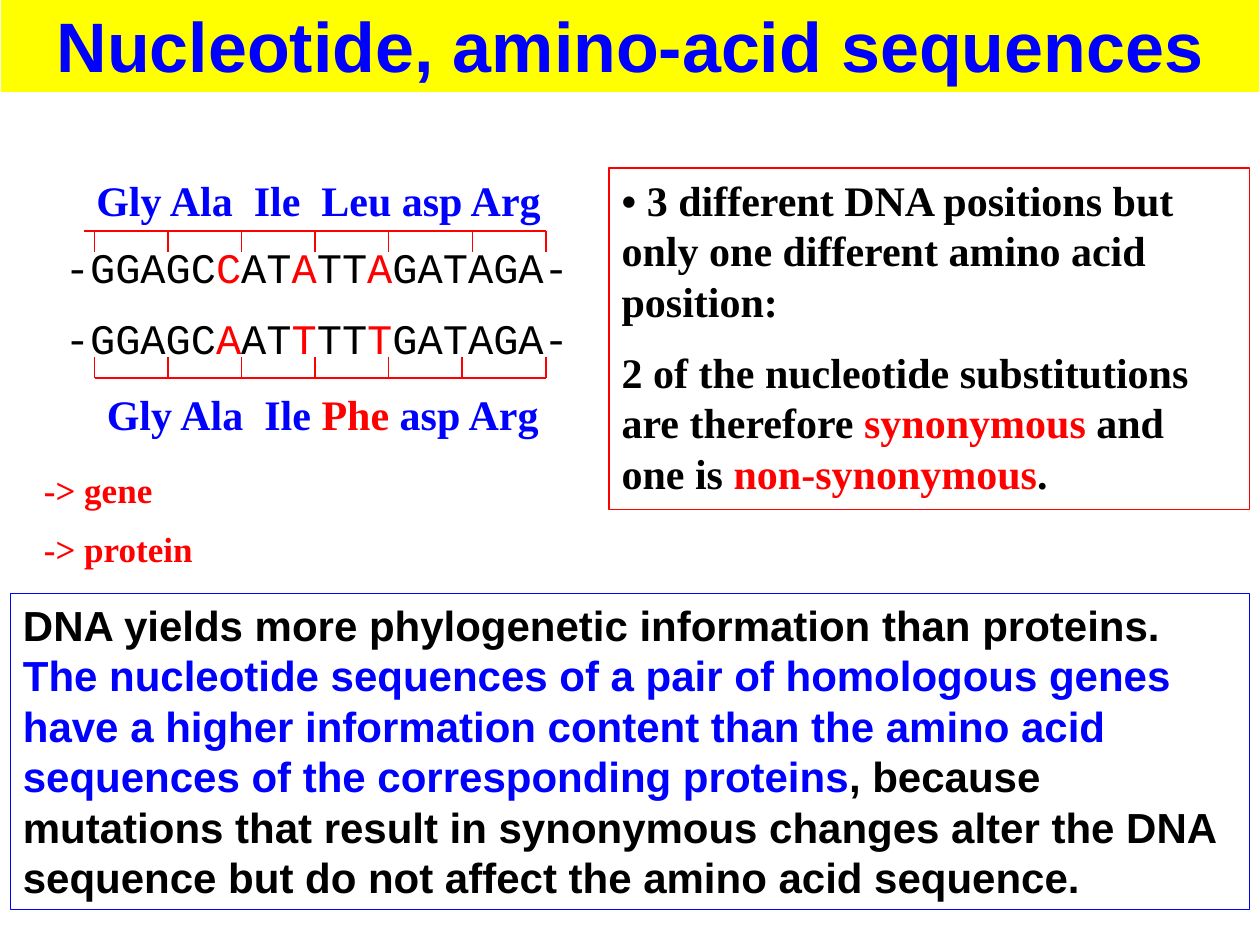
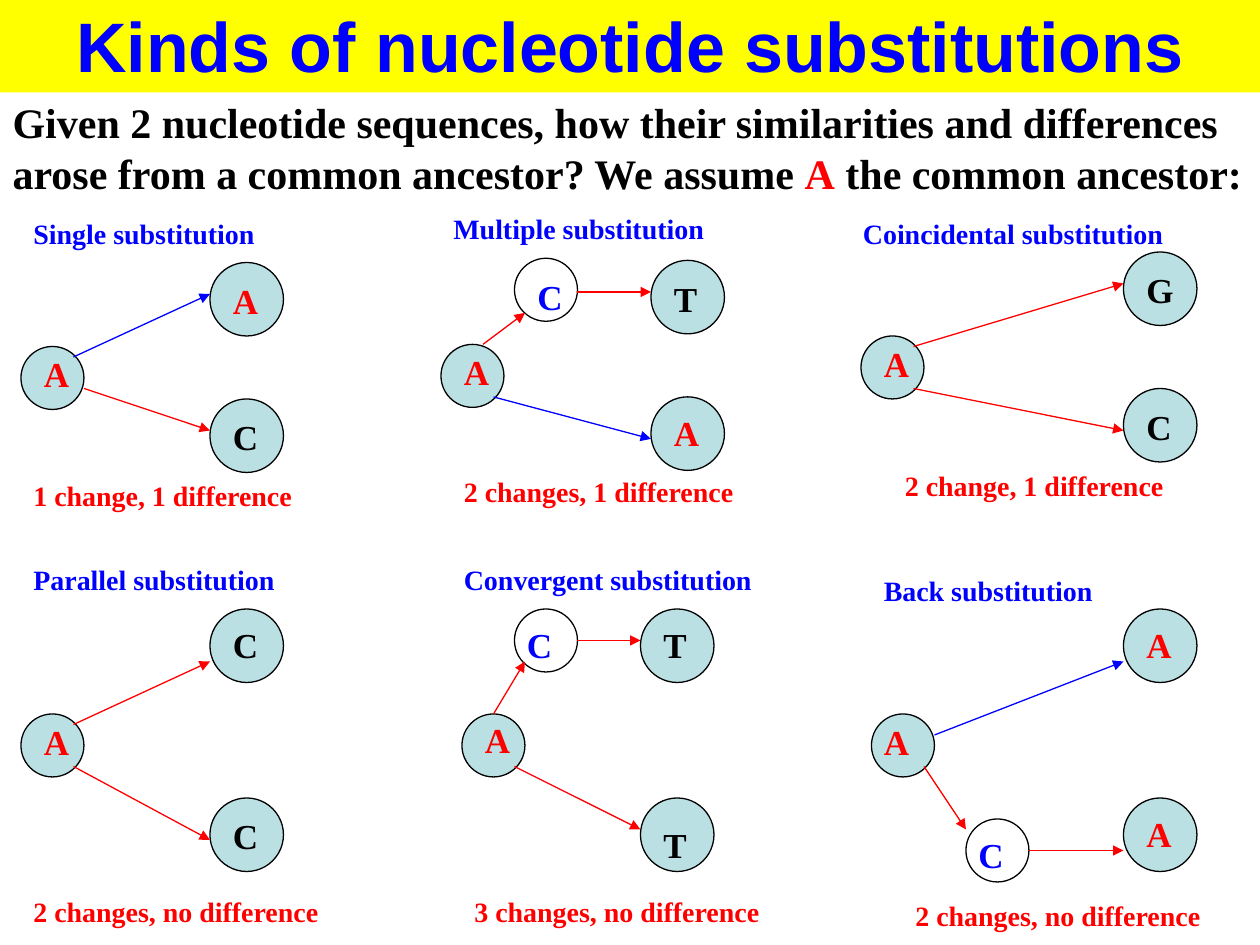
"""Build two slides on nucleotide sequences and kinds of substitutions."""
from dataclasses import dataclass

from lxml.etree import SubElement
from pptx import Presentation
from pptx.dml.color import RGBColor
from pptx.enum.shapes import MSO_CONNECTOR, MSO_SHAPE
from pptx.enum.text import MSO_ANCHOR, MSO_AUTO_SIZE, PP_ALIGN
from pptx.oxml.ns import qn
from pptx.util import Cm, Pt


@dataclass(frozen=True)
class Theme:
    black: str = "000000"
    red: str = "FF0000"
    blue: str = "0000FF"
    white: str = "FFFFFF"
    yellow: str = "FFFF00"
    teal: str = "BBE0E3"
    sans: str = "Arial"
    serif: str = "Times New Roman"
    mono: str = "Courier New"
    title_size: int = 40
    text_size: int = 24
    letter_size: int = 20
    label_size: int = 16
    line_width: float = 0.75


THEME = Theme()
BLACK, RED, BLUE, WHITE, TEAL = THEME.black, THEME.red, THEME.blue, THEME.white, THEME.teal
GRID_CM = 2.54 / 12
TIP, LARGE, SMALL = 2, 7, 6


def grid(steps):
    return Cm(steps * GRID_CM)


def substituted(letters):
    first, second, third = letters
    return [("-GGAGC", BLACK), (first, RED), ("AT", BLACK), (second, RED),
            ("TT", BLACK), (third, RED), ("GATAGA-", BLACK)]


class Deck:
    def __init__(self, theme):
        self.theme = theme
        self.presentation = Presentation()
        self.presentation.slide_width = Cm(25.4)
        self.presentation.slide_height = Cm(19.05)
        self.slide = None

    def start(self, title, border=None):
        layout = self.presentation.slide_layouts[1]
        self.slide = self.presentation.slides.add_slide(layout)
        shape = self.slide.shapes.title
        self.place(shape, (0, -0.4, 120, 9.2))
        self.paint(shape, self.theme.yellow, border)
        self.fill_text(shape, [[(title, BLUE)]], self.theme.title_size,
                       self.theme.sans, alignment=PP_ALIGN.CENTER)

    def place(self, shape, box):
        shape.left, shape.top, shape.width, shape.height = map(grid, box)

    def paint(self, shape, fill=None, border=None):
        if fill:
            shape.fill.solid()
            shape.fill.fore_color.rgb = RGBColor.from_string(fill)
        else:
            shape.fill.background()
        if border:
            shape.line.color.rgb = RGBColor.from_string(border)
            shape.line.width = Pt(self.theme.line_width)
        else:
            shape.line.fill.background()

    def fill_text(self, shape, paragraphs, size, font, bold=True, alignment=PP_ALIGN.LEFT):
        frame = shape.text_frame
        frame.word_wrap = True
        frame.auto_size = MSO_AUTO_SIZE.NONE
        frame.vertical_anchor = MSO_ANCHOR.TOP
        for index, runs in enumerate(paragraphs):
            paragraph = frame.add_paragraph() if index else frame.paragraphs[0]
            properties = paragraph._p.get_or_add_pPr()
            properties.set("marL", "0")
            properties.set("indent", "0")
            SubElement(properties, qn("a:buNone"))
            paragraph.alignment = alignment
            paragraph.space_before = Pt(size / 2 if index else 0)
            for text, color in runs:
                run = paragraph.add_run()
                run.text = text
                run.font.size = Pt(size)
                run.font.name = font
                run.font.bold = bold
                run.font.color.rgb = RGBColor.from_string(color)

    def body(self, box, paragraphs, border=None):
        shape = self.slide.placeholders[1]
        self.place(shape, box)
        self.paint(shape, border=border)
        self.fill_text(shape, paragraphs, self.theme.text_size, self.theme.serif)

    def text(self, box, paragraphs, size, font=THEME.serif, bold=True):
        shape = self.slide.shapes.add_textbox(*map(grid, box))
        self.fill_text(shape, paragraphs, size, font, bold)

    def shape(self, kind, box, fill=None, border=BLACK):
        shape = self.slide.shapes.add_shape(kind, *map(grid, box))
        shape.shadow.inherit = False
        self.paint(shape, fill, border)
        return shape

    def line(self, start, end, color=RED, arrow=False):
        connector = self.slide.shapes.add_connector(
            MSO_CONNECTOR.STRAIGHT, *map(grid, (*start, *end)))
        connector.line.color.rgb = RGBColor.from_string(color)
        connector.line.width = Pt(self.theme.line_width)
        if arrow:
            SubElement(connector.line._get_or_add_ln(), qn("a:tailEnd"), type="triangle")
        SubElement(connector._element.spPr, qn("a:effectLst"))

    def bracket(self, left, rail, ticks, tick_end):
        self.line((left, rail), (ticks[-1], rail))
        for tick in ticks:
            self.line((tick, min(rail, tick_end)), (tick, max(rail, tick_end)))

    def node(self, letter, color, left, top, diameter, fill=TEAL, shift=(1, 0)):
        self.shape(MSO_SHAPE.OVAL, (left, top, diameter, diameter), fill)
        self.text((left + shift[0], top + shift[1], 6, 5.2),
                  [[(letter, color)]], self.theme.letter_size)

    def tree(self, title, caption, nodes, arrows):
        for node in nodes:
            self.node(*node)
        for start, end, color in arrows:
            self.line(start, end, color, arrow=True)
        for (label, left, top, width), color in ((title, BLUE), (caption, RED)):
            self.text((left, top, width, 4.4), [[(label, color)]], self.theme.label_size)


def sequences_slide(deck):
    theme = deck.theme
    deck.start("Nucleotide, amino-acid sequences", border=WHITE)
    deck.bracket(8, 22, (9, 16, 23, 30, 37, 45, 52), 22 + TIP)
    deck.bracket(9, 36, (9, 16, 23, 30, 37, 44, 52), 36 - TIP)
    deck.text((5, 22.4, 113, 13.2), [substituted("CAA"), substituted("ATT")],
              theme.text_size, theme.mono, bold=False)
    deck.text((8, 16, 48, 6), [[("Gly Ala  Ile  Leu asp Arg", BLUE)]], theme.text_size)
    deck.text((9, 36.4, 48, 6),
              [[("Gly Ala  Ile ", BLUE), ("Phe", RED), (" asp Arg", BLUE)]],
              theme.text_size)
    conclusion = deck.shape(MSO_SHAPE.RECTANGLE, (1, 56.5, 118, 30.1), border=BLUE)
    deck.fill_text(conclusion, [[
        ("DNA yields more phylogenetic information than proteins. ", BLACK),
        ("The nucleotide sequences of a pair of homologous genes have a higher "
         "information content than the amino acid sequences of the corresponding "
         "proteins", BLUE),
        (", because mutations that result in synonymous changes alter the DNA "
         "sequence but do not affect the amino acid sequence.", BLACK),
    ]], theme.text_size, theme.sans)
    deck.body((58, 16, 61, 32.5), [
        [("• 3 different DNA positions but only one different amino acid position:", BLACK)],
        [("2 of the nucleotide substitutions are therefore ", BLACK), ("synonymous", RED),
         (" and one is ", BLACK), ("non-synonymous", RED), (".", BLACK)],
    ], border=RED)
    deck.text((3, 44, 25, 11.2), [[("-> gene", RED)], [("-> protein", RED)]],
              theme.letter_size)


def substitutions_slide(deck):
    deck.start("Kinds of nucleotide substitutions")
    deck.body((0, 8.6, 122, 10.8), [[
        ("Given 2 nucleotide sequences, how their similarities and differences "
         "arose from a common ancestor? We assume ", BLACK),
        ("A", RED), (" the common ancestor:", BLACK)]])
    deck.tree(
        ("Single substitution", 2, 20, 28), ("1 change, 1 difference", 2, 45, 29),
        [("A", RED, 20, 25, LARGE, TEAL, (1, 1)),
         ("C", BLACK, 20, 38, LARGE, TEAL, (1, 1)),
         ("A", RED, 2, 33, SMALL)],
        [((8, 37), (20, 41), RED), ((7, 34), (20, 28), BLUE)])
    deck.tree(
        ("Multiple substitution", 42, 19.6, 28), ("2 changes, 1 difference", 43, 44.6, 29),
        [("T", BLACK, 62, 24.8, LARGE, TEAL, (1, 1)),
         ("C", BLUE, 49, 24.6, SMALL, WHITE, (1, 1)),
         ("A", RED, 62, 37.8, LARGE, TEAL, (1, 0.8)),
         ("A", RED, 42, 32.8, SMALL)],
        [((55, 27.8), (62, 27.8), RED), ((46, 32.8), (50, 29.8), RED),
         ((47, 37.8), (62, 41.8), BLUE)])
    deck.tree(
        ("Coincidental substitution", 81, 20, 32), ("2 change, 1 difference", 85, 44, 29),
        [("G", BLACK, 107, 24, LARGE, TEAL, (1, 1)),
         ("C", BLACK, 107, 37, LARGE, TEAL, (1, 1)),
         ("A", RED, 82, 32, SMALL)],
        [((87, 33), (107, 27), RED), ((87, 37), (107, 41), RED)])
    deck.tree(
        ("Parallel substitution", 2, 53, 27), ("2 changes, no difference", 2, 84.6, 35),
        [("C", BLACK, 20, 58, LARGE, TEAL, (1, 0.8)),
         ("C", BLACK, 20, 76, LARGE, TEAL, (1, 1)),
         ("A", RED, 2, 68, SMALL)],
        [((7, 69), (20, 63), RED), ((7, 73), (20, 80), RED)])
    deck.tree(
        ("Convergent substitution", 43, 53, 31), ("3 changes, no difference", 44, 84.6, 34),
        [("T", BLACK, 61, 76, LARGE, TEAL, (1, 1.8)),
         ("T", BLACK, 61, 58, LARGE, TEAL, (1, 0.8)),
         ("A", RED, 44, 68, SMALL, TEAL, (1, -0.2)),
         ("C", BLUE, 49, 58, SMALL, WHITE, (0, 0.8))],
        [((47, 68), (50, 63), RED), ((55, 61), (61, 61), RED), ((49, 73), (61, 79), RED)])
    deck.tree(
        ("Back substitution", 83, 54, 29), ("2 changes, no difference", 86, 85, 34),
        [("A", RED, 107, 58, LARGE, TEAL, (1, 0.8)),
         ("A", RED, 107, 76, LARGE, TEAL, (1, 0.8)),
         ("A", RED, 83, 68, SMALL, TEAL, (0, 0)),
         ("C", BLUE, 92, 78, SMALL, WHITE, (0, 0.8))],
        [((88, 73), (92, 79), RED), ((98, 81), (107, 81), RED), ((89, 70), (107, 63), BLUE)])


def main():
    deck = Deck(THEME)
    sequences_slide(deck)
    substitutions_slide(deck)
    deck.presentation.save("out.pptx")


if __name__ == "__main__":
    main()
